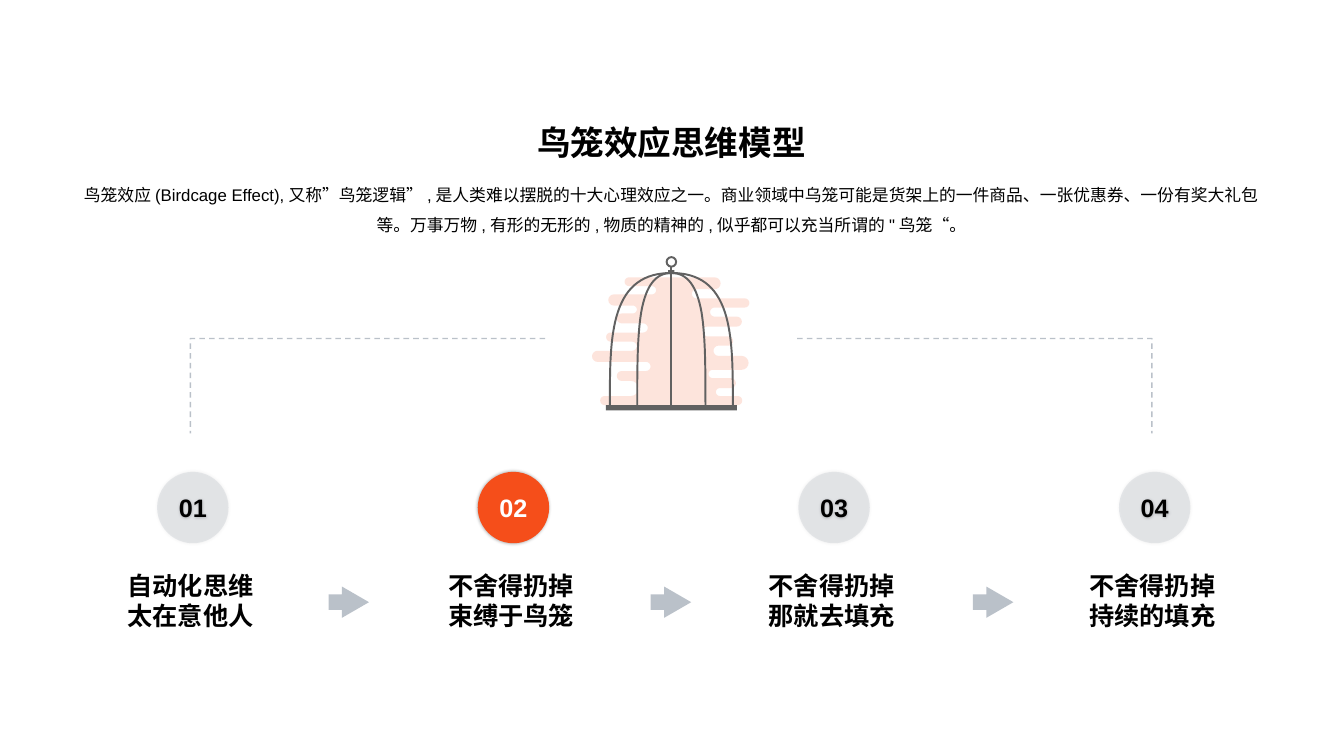
"""Build the birdcage effect slide with its four linked steps."""
from math import cos, pi, sin
from lxml.etree import SubElement as Sub
from pptx import Presentation
from pptx.dml.color import RGBColor
from pptx.enum.dml import MSO_LINE as Dash
from pptx.enum.shapes import MSO_CONNECTOR as Link, MSO_SHAPE as Kind
from pptx.enum.text import MSO_ANCHOR as Anchor, MSO_AUTO_SIZE as Fit, PP_ALIGN as Align
from pptx.oxml.ns import qn
from pptx.util import Cm, Pt

HUES = {"ink": "000000", "white": "FFFFFF", "slate": "778495",
        "flame": "F54E1A", "steel": "616161", "shade": "404040"}
TITLE = "鸟笼效应思维模型"
INTRO = ("鸟笼效应(Birdcage Effect),又称”鸟笼逻辑”,是人类难以摆脱的十大心理效应之一。"
         "商业领域中乌笼可能是货架上的一件商品、一张优惠券、一份有奖大礼包等。"
         "万事万物,有形的无形的,物质的精神的,似乎都可以充当所谓的\"鸟笼“。")
STEPS = [("01", "自动化思维", "太在意他人"), ("02", "不舍得扔掉", "束缚于鸟笼"),
         ("03", "不舍得扔掉", "那就去填充"), ("04", "不舍得扔掉", "持续的填充")]
ACTIVE = "02"

MID, ROOF, FLOOR = 16.92, 6.88, 10.21
RIGHT_X = [18.59, 18.14, 18.42, 17.96, 18.69, 18.11, 18.36, 17.83, 18.57, 18.01,
           18.77, 17.55, 18.01]
RIGHT_Y = [10.21, 9.98, 9.78, 9.53, 9.32, 8.97, 8.71, 8.48, 8.23, 7.98, 7.75,
           7.52, 7.29, 6.99]
LEFT_X = [15.85, 16.43, 15.47, 15.95, 15.67, 16.21, 15.39, 15.93, 15.06, 16.28,
          15.67, 15.9, 15.24]
LEFT_Y = [6.99, 7.21, 7.42, 7.7, 7.9, 8.15, 8.38, 8.61, 8.84, 9.12, 9.35, 9.6,
          9.98, 10.21]
BARS = [(1.55, 1.35, 1.13, 0.7), (0.86, 0.76, 0.64, 0.4)]

deck = Presentation()
deck.slide_width, deck.slide_height = Cm(33.87), Cm(19.05)
slide = deck.slides.add_slide(deck.slide_layouts[5])
shapes = slide.shapes


def rgb(hue):
    return RGBColor.from_string(HUES[hue])


def fade(fill, rate):
    tone = fill._xPr.find(".//" + qn("a:srgbClr"))
    Sub(tone, qn("a:alpha"), val=str(rate * 1000))


def paint(shape, hue, rate=100):
    shape.shadow.inherit = False
    shape.fill.solid()
    shape.fill.fore_color.rgb = rgb(hue)
    shape.line.fill.background()
    if rate < 100:
        fade(shape.fill, rate)


def draw(shape):
    shape.shadow.inherit = False
    shape.fill.background()
    shape.line.color.rgb = rgb("steel")
    shape.line.width = Pt(1.4)


def write(shape, lines, size, hue="ink", bold=True, gap=None):
    frame = shape.text_frame
    frame.word_wrap = True
    for i, line in enumerate(lines):
        para = frame.add_paragraph() if i else frame.paragraphs[0]
        para.alignment = Align.CENTER
        para.line_spacing = gap
        run = para.add_run()
        run.text = line
        run.font.name, run.font.size, run.font.bold = "Arial", Pt(size), bold
        run.font.color.rgb = rgb(hue)
    return frame


def place(kind, x, y, w, h):
    return shapes.add_shape(kind, Cm(x), Cm(y), Cm(w), Cm(h))


def box(x, y, w, h):
    return shapes.add_textbox(Cm(x), Cm(y), Cm(w), Cm(h))


def trace(dots, close):
    dots = [(Cm(x), Cm(y)) for x, y in dots]
    form = shapes.build_freeform(*dots[0])
    form.add_line_segments(dots[1:], close=close)
    return form.convert_to_shape()


def scallop(xs, ys, side):
    dots = []
    for i, (x, top, end) in enumerate(zip(xs, ys, ys[1:])):
        mid, half = (top + end) / 2, (top - end) / 2
        way = side * (-1) ** i * abs(half)
        dots += [(x + way * sin(pi * k / 8), mid + half * cos(pi * k / 8)) for k in range(9)]
    return dots


def curve(a, b, c, d):
    for k in range(17):
        t = k / 16
        mix = ((1 - t) ** 3, 3 * t * (1 - t) ** 2, 3 * t * t * (1 - t), t ** 3)
        yield tuple(sum(m * p[n] for m, p in zip(mix, (a, b, c, d))) for n in (0, 1))


def arch(foot, waist, neck, crown):
    half = [*curve((foot, FLOOR), (foot, 9.32), (foot, 8.48), (waist, 7.87)),
            *curve((waist, 7.87), (neck, 7.2), (crown, ROOF), (0, ROOF))]
    return [(MID - x, y) for x, y in half] + [(MID + x, y) for x, y in half[-2::-1]]


def link(x, end):
    line = shapes.add_connector(Link.ELBOW, Cm(x), Cm(8.53), Cm(end), Cm(10.92))
    line._element.spPr.find(qn("a:prstGeom")).set("prst", "bentConnector2")
    line.line.color.rgb = rgb("slate")
    line.line.width, line.line.dash_style = Pt(1), Dash.DASH
    fade(line.line.fill, 50)
    Sub(line._element.spPr, qn("a:effectLst"))


def glow(shape):
    root = shape._element.spPr.find(qn("a:effectLst"))
    cast = Sub(root, qn("a:outerShdw"), blurRad="25400", dist="0", algn="ctr", rotWithShape="0")
    tone = Sub(cast, qn("a:srgbClr"), val=HUES["shade"])
    Sub(tone, qn("a:alpha"), val="37000")


title = shapes.title
title.left, title.top, title.width, title.height = Cm(1.83), Cm(2.95), Cm(30.18), Cm(1.27)
frame = write(title, [TITLE], 24)
frame.vertical_anchor, frame.auto_size = Anchor.BOTTOM, Fit.SHAPE_TO_FIT_TEXT
write(box(1.83, 4.27, 30.18, 1.57), [INTRO], 12, bold=False, gap=1.5)

for i, (mark, *lines) in enumerate(STEPS):
    x = 1.83 + 8.08 * i
    write(box(x, 14.25, 5.94, 2.39), lines, 18)
    badge = place(Kind.ROUNDED_RECTANGLE, x + 2.13, 11.89, 1.8, 1.8)
    badge.adjustments[0] = 0.5
    live = mark == ACTIVE
    paint(badge, *(("flame",) if live else ("slate", 15)))
    glow(badge)
    write(badge, [mark], 18, "white" if live else "ink").vertical_anchor = Anchor.MIDDLE

for i in range(len(STEPS) - 1):
    arrow = place(Kind.RIGHT_ARROW, 8.28 + 8.12 * i, 14.78, 1.02, 0.79)
    arrow.adjustments[1] = 0.865
    paint(arrow, "slate", 50)

link(13.74, 4.8)
link(20.09, 29.03)

cloud = scallop(RIGHT_X, RIGHT_Y, 1) + scallop(LEFT_X, LEFT_Y, -1)
paint(trace(cloud, True), "flame", 15)
for bar in BARS:
    draw(trace(arch(*bar), False))
draw(trace([(MID, 6.72), (MID, FLOOR)], False))
draw(place(Kind.OVAL, MID - 0.12, 6.48, 0.24, 0.24))
paint(place(Kind.RECTANGLE, MID - 0.08, 6.81, 0.16, 0.06), "steel")
paint(place(Kind.RECTANGLE, MID - 1.65, FLOOR, 3.3, 0.13), "steel")

deck.save("out.pptx")
